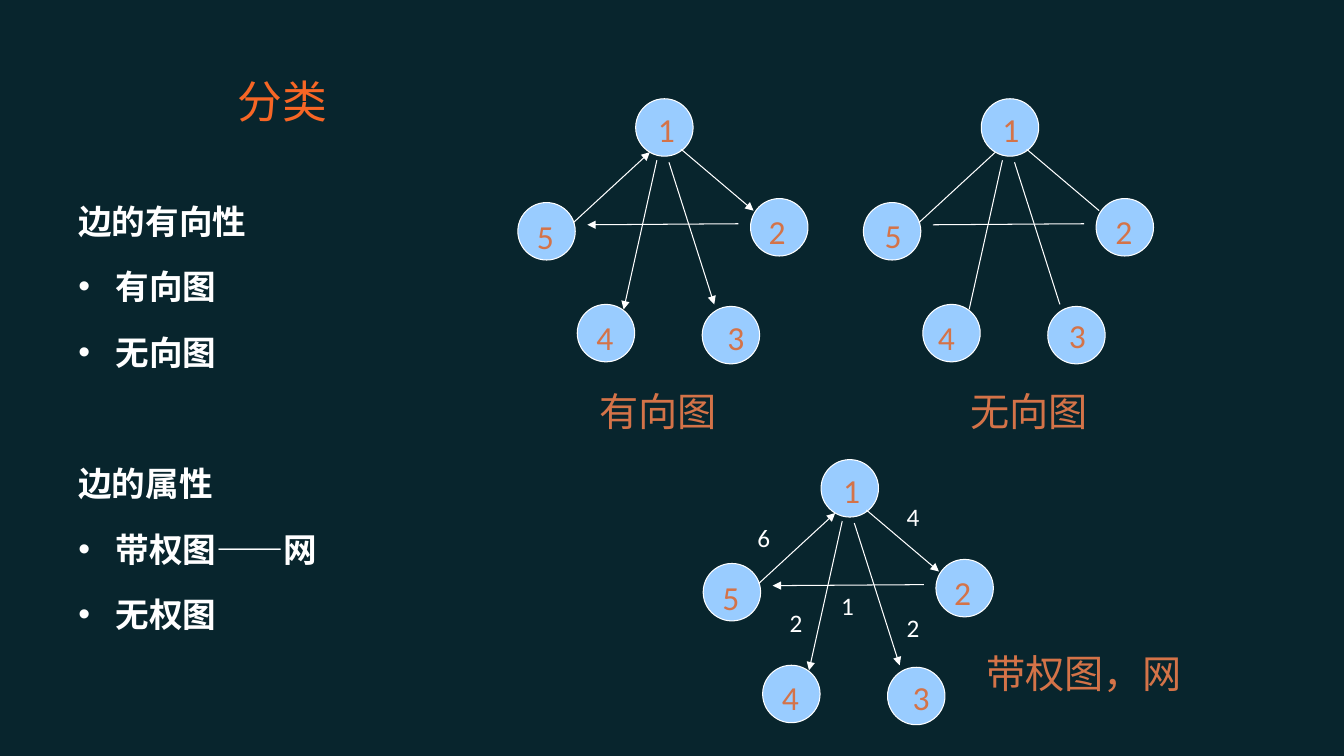
"""Build a slide that sorts graphs by edge direction and edge weight."""
import pptx
import pptx.dml.color
import pptx.enum.shapes
import pptx.enum.text
import pptx.oxml.ns
import pptx.util
from lxml import etree

PX = 9144
CJK = "Noto Sans CJK SC"
WHITE, ORANGE, BLUE = "FFFFFF", "D47348", "99CCFF"
qn = pptx.oxml.ns.qn
rgb = pptx.dml.color.RGBColor.from_string


def write(paragraph, text, size=24, font="Calibri", color=WHITE, bold=False):
    run = paragraph.add_run()
    run.text = text
    run.font.size = pptx.util.Pt(size)
    run.font.name = font
    run.font.bold = bold
    run.font.color.rgb = rgb(color)
    etree.SubElement(run.font._element, qn("a:ea"), typeface=CJK)


def add_label(shapes, box, text, inset=(0, 0), **style):
    frame = shapes.add_textbox(*(n * PX for n in box)).text_frame
    frame.word_wrap = True
    frame.margin_left = frame.margin_right = inset[0] * PX
    frame.margin_top = frame.margin_bottom = inset[1] * PX
    write(frame.paragraphs[0], text, **style)
    return frame


deck = pptx.Presentation()
deck.slide_width, deck.slide_height = 1334 * PX, 750 * PX
slide = deck.slides.add_slide(deck.slide_layouts[5])
slide.background.fill.solid()
slide.background.fill.fore_color.rgb = rgb("08252D")

title = slide.shapes.title
title.left, title.top, title.width, title.height = (n * PX for n in (226, 60, 795, 79))
title.text_frame.vertical_anchor = pptx.enum.text.MSO_ANCHOR.MIDDLE
heading = title.text_frame.paragraphs[0]
heading.alignment = pptx.enum.text.PP_ALIGN.LEFT
write(heading, "分类", size=32, font="Roboto", color="F76625")

outline = add_label(slide.shapes, (68, 191, 392, 482), "边的有向性", inset=(10, 8), bold=True)
outline.paragraphs[0].line_spacing = pptx.util.Pt(28.8)
for text, bulleted, space in [
    ("有向图", True, 18),
    ("无向图", True, 18),
    ("边的属性", False, 65),
    ("带权图——网", True, 18),
    ("无权图", True, 18),
]:
    item = outline.add_paragraph()
    item.line_spacing = pptx.util.Pt(28.8)
    item.space_before = pptx.util.Pt(space)
    if bulleted:
        props = item._p.get_or_add_pPr()
        props.set("marL", str(37 * PX))
        props.set("indent", str(-37 * PX))
        bullet_color = etree.SubElement(props, qn("a:buClr"))
        etree.SubElement(bullet_color, qn("a:srgbClr"), val=WHITE)
        etree.SubElement(props, qn("a:buFont"), typeface="Arial")
        etree.SubElement(props, qn("a:buChar"), char="•")
    write(item, text, bold=True)

NODES = [(117, 0), (231, 99), (183, 206), (59, 204), (0, 103)]
EDGES = [
    (55, 123, 131, 53),
    (162, 50, 234, 111),
    (219, 124, 69, 125),
    (138, 61, 105, 209),
    (150, 63, 195, 204),
]
ARROW_DIGITS = [(22, 10), (18, 12), (25, 10), (19, 12), (19, 13)]
PLAIN_DIGITS = [(21, 10), (19, 12), (21, 8), (15, 12), (21, 12)]
WEIGHTS = [("4", 192, 36), ("6", 44, 57), ("2", 76, 142), ("2", 192, 147), ("1", 127, 125)]
GRAPHS = [
    (514, 98, True, ARROW_DIGITS, []),
    (857, 98, False, PLAIN_DIGITS, []),
    (698, 456, True, ARROW_DIGITS, WEIGHTS),
]
for left, top, directed, digits, weights in GRAPHS:
    graph = slide.shapes.add_group_shape().shapes
    for number, ((x, y), (dx, dy)) in enumerate(zip(NODES, digits), 1):
        node = graph.add_shape(
            pptx.enum.shapes.MSO_SHAPE.OVAL,
            (left + x) * PX, (top + y) * PX, 57 * PX, 57 * PX)
        node.shadow.inherit = False
        node.fill.solid()
        node.fill.fore_color.rgb = rgb(BLUE)
        node.line.color.rgb = rgb(WHITE)
        node.line.width = pptx.util.Pt(0.75)
        add_label(graph, (left + x + dx, top + y + dy, 50, 46), str(number), color=ORANGE)
    for x1, y1, x2, y2 in EDGES:
        edge = graph.add_connector(
            pptx.enum.shapes.MSO_CONNECTOR.STRAIGHT,
            (left + x1) * PX, (top + y1) * PX, (left + x2) * PX, (top + y2) * PX)
        edge.line.color.rgb = rgb(WHITE)
        edge.line.width = pptx.util.Pt(0.75)
        if directed:
            etree.SubElement(edge.line._get_or_add_ln(), qn("a:tailEnd"), type="triangle")
        etree.SubElement(edge._element.spPr, qn("a:effectLst"))
    for weight, x, y in weights:
        add_label(graph, (left + x, top + y, 41, 40), weight, inset=(10, 5), size=18)

for caption, left, top, width in [
    ("有向图", 585, 384, 192),
    ("无向图", 953, 384, 192),
    ("带权图，网", 969, 644, 320),
]:
    add_label(slide.shapes, (left, top, width, 57), caption,
              inset=(10, 0), size=28, font=CJK, color=ORANGE)

deck.save("out.pptx")
